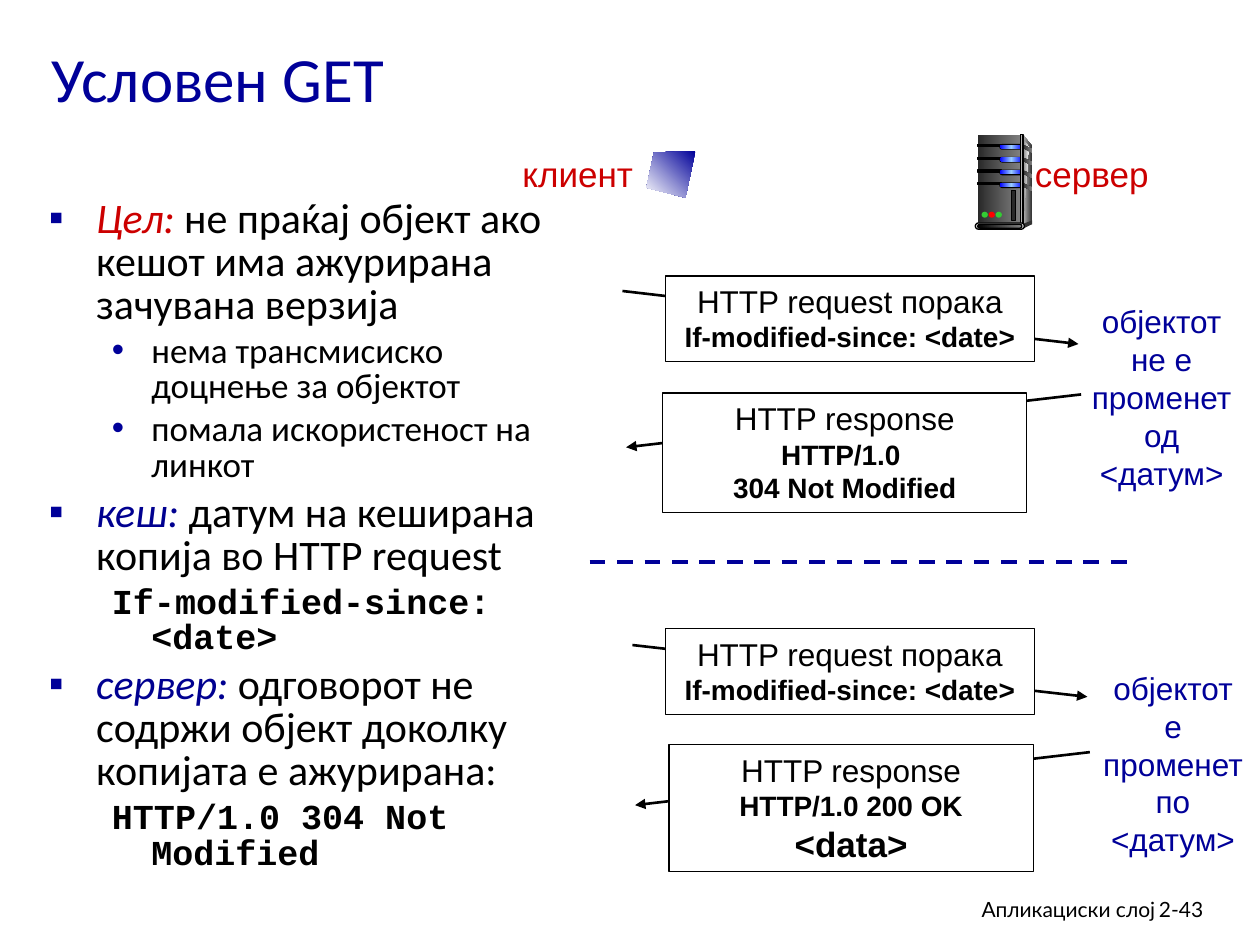
from lxml.etree import SubElement
from pptx import Presentation
from pptx.dml.color import RGBColor
from pptx.enum.dml import MSO_LINE
from pptx.enum.shapes import MSO_CONNECTOR, MSO_SHAPE
from pptx.enum.text import MSO_ANCHOR, MSO_AUTO_SIZE, PP_ALIGN
from pptx.oxml.ns import qn
from pptx.util import Pt

BLACK = RGBColor(0x00, 0x00, 0x00)
WHITE = RGBColor(0xFF, 0xFF, 0xFF)
NAVY = RGBColor(0x00, 0x00, 0x99)
DARK_NAVY = RGBColor(0x00, 0x00, 0x90)
RED = RGBColor(0xCC, 0x00, 0x00)
BLUE = RGBColor(0x00, 0x00, 0xFF)
LIGHT_BLUE = RGBColor(0x99, 0xCC, 0xFF)
COAL = RGBColor(0x29, 0x29, 0x29)
DARK_GRAY = RGBColor(0x33, 0x33, 0x33)
GRAY = RGBColor(0x80, 0x80, 0x80)
LIGHT_GRAY = RGBColor(0xDD, 0xDD, 0xDD)
PALE_GRAY = RGBColor(0xF8, 0xF8, 0xF8)
LAMP_GREEN = RGBColor(0x33, 0xCC, 0x33)
LAMP_RED = RGBColor(0xFF, 0x00, 0x00)


def add_text(paragraph, text, size=18, font="Arial", color=BLACK, bold=False, italic=False):
    run = paragraph.add_run()
    run.text = text
    run.font.size = Pt(size)
    run.font.name = font
    run.font.color.rgb = color
    run.font.bold = bold
    run.font.italic = italic


class SlideBuilder:
    body_font = "Calibri"
    code_font = "Courier New"
    footer_font = "Lato"

    def __init__(self, slide):
        self.slide = slide
        self.shapes = slide.shapes

    def title(self, text, left, top, width, height):
        shape = self.slide.shapes.title
        shape.left, shape.top, shape.width, shape.height = map(Pt, (left, top, width, height))
        frame = shape.text_frame
        frame.auto_size = MSO_AUTO_SIZE.NONE
        frame.vertical_anchor = MSO_ANCHOR.MIDDLE
        frame.paragraphs[0].alignment = PP_ALIGN.LEFT
        add_text(frame.paragraphs[0], text, size=36, font=self.body_font, color=NAVY)

    def lines(self, frame, lines, alignment=PP_ALIGN.CENTER, **style):
        for index, (text, line_style) in enumerate(lines):
            paragraph = frame.add_paragraph() if index else frame.paragraphs[0]
            paragraph.alignment = alignment
            add_text(paragraph, text, **{**style, **line_style})

    def label(self, texts, left, top, width, height, wrap=False, alignment=PP_ALIGN.CENTER, **style):
        frame = self.shapes.add_textbox(Pt(left), Pt(top), Pt(width), Pt(height)).text_frame
        frame.word_wrap = wrap
        self.lines(frame, [(text, {}) for text in texts], alignment, **style)

    def outline(self, items, left, top, width, height):
        frame = self.shapes.add_textbox(Pt(left), Pt(top), Pt(width), Pt(height)).text_frame
        frame.word_wrap = True
        for index, (level, bullet, runs) in enumerate(items):
            paragraph = frame.add_paragraph() if index else frame.paragraphs[0]
            paragraph.level = level
            margin, hanging, size = ((27, 27, 24), (58.5, 22.5, 20))[level]
            properties = paragraph._p.get_or_add_pPr()
            properties.set("marL", str(Pt(margin)))
            properties.set("indent", str(-Pt(hanging)))
            if bullet:
                color = SubElement(properties, qn("a:buClr"))
                SubElement(color, qn("a:srgbClr"), val=str(NAVY))
                SubElement(properties, qn("a:buFont"), typeface="Arial")
                SubElement(properties, qn("a:buChar"), char=bullet)
            paragraph.line_spacing = 0.85
            if index:
                paragraph.space_before = Pt(size * 0.2)
            for text, style in runs:
                add_text(paragraph, text, **{"size": size, "font": self.body_font, **style})

    def paint(self, shape, fill, outlined, angle=0):
        shape.shadow.inherit = False
        if isinstance(fill, list):
            shape.fill.gradient()
            shape.fill.gradient_angle = angle
            stops = shape._element.spPr.find(qn("a:gradFill")).find(qn("a:gsLst"))
            for stop in list(stops):
                stops.remove(stop)
            for index, color in enumerate(fill):
                position = 100000 * index // (len(fill) - 1)
                stop = SubElement(stops, qn("a:gs"), pos=str(position))
                SubElement(stop, qn("a:srgbClr"), val=str(color))
        else:
            shape.fill.solid()
            shape.fill.fore_color.rgb = fill
        if outlined:
            shape.line.color.rgb = BLACK
            shape.line.width = Pt(0.75)
        else:
            shape.line.fill.background()

    def preset(self, kind, left, top, width, height, fill, outlined=False):
        shape = self.shapes.add_shape(kind, Pt(left), Pt(top), Pt(width), Pt(height))
        if kind == MSO_SHAPE.ROUNDED_RECTANGLE:
            shape.adjustments[0] = 0.5
        self.paint(shape, fill, outlined)
        return shape

    def polygon(self, points, fill, angle=0):
        start, *rest = [(Pt(x), Pt(y)) for x, y in points]
        builder = self.shapes.build_freeform(*start)
        builder.add_line_segments(rest, close=True)
        self.paint(builder.convert_to_shape(), fill, False, angle)

    def message(self, lines, left, top, width, height):
        shape = self.preset(MSO_SHAPE.RECTANGLE, left, top, width, height, WHITE, True)
        frame = shape.text_frame
        frame.word_wrap = True
        frame.vertical_anchor = MSO_ANCHOR.TOP
        self.lines(frame, lines)

    def connector(self, start, end, color=BLACK, width=1.5, dash=None, arrow=True):
        connector = self.shapes.add_connector(MSO_CONNECTOR.STRAIGHT, *map(Pt, start + end))
        connector.line.color.rgb = color
        connector.line.width = Pt(width)
        if dash:
            connector.line.dash_style = dash
        properties = connector._element.spPr
        if arrow:
            SubElement(properties.find(qn("a:ln")), qn("a:tailEnd"), type="triangle")
        SubElement(properties, qn("a:effectLst"))

    def server(self):
        rectangle, rounded, oval = MSO_SHAPE.RECTANGLE, MSO_SHAPE.ROUNDED_RECTANGLE, MSO_SHAPE.OVAL
        self.shapes = self.slide.shapes.add_group_shape().shapes
        self.polygon([(584.6, 77), (589.7, 83.5), (589.7, 126.7), (583.2, 128.9)], [LIGHT_GRAY, DARK_GRAY])
        self.preset(rectangle, 558.7, 77, 24.5, 51.8, [COAL, GRAY])
        self.polygon([(584.6, 79.9), (588.2, 84.2), (586, 110), (584.6, 127.4)], [GRAY, PALE_GRAY])
        for row in range(4):
            top = 82.6 + 7.3 * row
            self.preset(rectangle, 558.7, top, 13.7, 1.1, BLACK, True)
            self.preset(rounded, 571, top - 0.3, 13.7, 3.3, BLACK)
            self.preset(rounded, 571.4, top, 13, 2.4, [BLUE, LIGHT_BLUE, BLUE])
            side = [(584.2, top), (589.8, top + 2.6), (589.8, top + 4.7), (584.2, top + 1.8)]
            self.polygon(side, [COAL, GRAY])
        self.preset(rectangle, 583.2, 77, 1.4, 51.8, [DARK_GRAY, LIGHT_GRAY, DARK_GRAY], True)
        self.polygon([(583.9, 128.2), (583.9, 131), (589.7, 128.2), (589.7, 126)], DARK_GRAY)
        self.preset(rounded, 557.3, 127.4, 28.1, 3.6, LIGHT_GRAY, True)
        self.preset(rounded, 558.7, 128.2, 25.2, 2.2, [BLACK, GRAY], True)
        for index, color in enumerate((LAMP_GREEN, LAMP_RED, LAMP_GREEN)):
            self.preset(oval, 560.9 + 4 * index, 121, 3.6, 3.4, color)
        self.preset(rectangle, 578.2, 108.7, 2.2, 17.3, COAL, True)
        self.shapes = self.slide.shapes


def main():
    presentation = Presentation()
    presentation.slide_width, presentation.slide_height = Pt(720), Pt(540)
    builder = SlideBuilder(presentation.slides.add_slide(presentation.slide_layouts[5]))
    footer = {"size": 12, "font": builder.footer_font, "wrap": True}
    builder.label(["Апликациски слој"], 439.2, 509, 228.2, 22, alignment=PP_ALIGN.RIGHT, **footer)
    builder.label(["2-43"], 655.2, 509, 53.3, 22, alignment=PP_ALIGN.LEFT, **footer)
    builder.title("Условен GET", 22.3, 15.1, 627, 58.3)

    goal = {"color": RED, "italic": True}
    term = {"color": DARK_NAVY, "italic": True}
    code = {"font": builder.code_font, "bold": True}
    builder.outline([
        (0, "▪", [("Цел: ", goal), ("не праќај објект ако кешот има ажурирана зачувана верзија", {})]),
        (1, "•", [("нема трансмисиско доцнење за објектот", {})]),
        (1, "•", [("помала искористеност на линкот", {})]),
        (0, "▪", [("кеш: ", term), ("датум на кеширана копија во HTTP request", {})]),
        (1, None, [("If-modified-since: <date>", code)]),
        (0, "▪", [("сервер: ", term), ("одговорот не содржи објект доколку копијата е ажурирана:", {})]),
        (1, None, [("HTTP/1.0 304 Not Modified", code)]),
    ], 20.9, 110.2, 310.3, 403.9)

    strong = {"size": 16, "bold": True}
    request = [("HTTP request порака", {}), ("If-modified-since: <date>", strong)]
    not_modified = [("HTTP response", {}), ("HTTP/1.0 ", strong), ("304 Not Modified", strong)]
    modified = [("HTTP response", {}), ("HTTP/1.0 200 OK", strong), ("<data>", {"size": 20, "bold": True})]

    builder.connector((355.7, 166.3), (616.3, 196.6))
    builder.message(request, 380.2, 157.7, 211, 49)
    builder.connector((617.8, 225.4), (357.8, 255.6))
    builder.message(not_modified, 378.7, 224.6, 208.1, 68.4)
    builder.label(["објектот", "не е", "променет", "од", "<датум>"], 616.3, 169.2, 95, 116.6, color=NAVY)
    builder.connector((337, 321.1), (644.4, 321.1), NAVY, 2.25, MSO_LINE.DASH, arrow=False)
    builder.connector((361.4, 368.6), (621.4, 398.2))
    builder.message(request, 380.2, 359.3, 211, 49)
    builder.connector((622.8, 429.8), (362.9, 460.1))
    builder.message(modified, 382.3, 425.5, 208.1, 72.7)
    builder.label(["објектот", "е", "променет", "по", "<датум>"], 622.8, 378.7, 95, 116.6, color=NAVY)

    builder.label(["клиент"], 290.9, 83.5, 78.5, 31.7, size=20, color=RED)
    builder.label(["сервер"], 583.9, 83.5, 79.9, 31.7, size=20, color=RED)
    builder.server()
    builder.polygon([(397.4, 86.4), (373.7, 87.1), (369.4, 107.3), (391.7, 113)], [NAVY, WHITE], 225)
    presentation.save("out.pptx")


if __name__ == "__main__":
    main()
